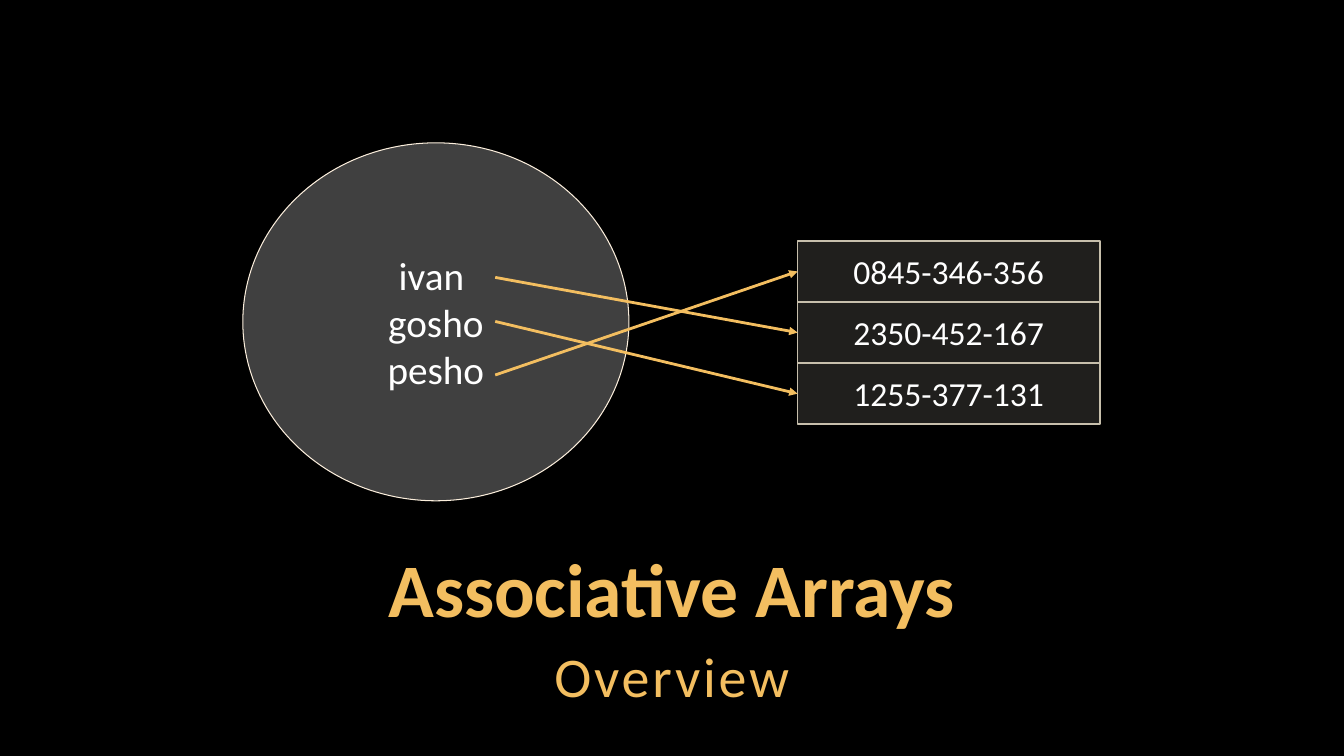
from dataclasses import dataclass

from lxml.etree import SubElement
from pptx import Presentation
from pptx.dml.color import RGBColor
from pptx.enum.shapes import MSO_CONNECTOR, MSO_SHAPE
from pptx.enum.text import MSO_ANCHOR, PP_ALIGN
from pptx.oxml.ns import qn
from pptx.shapes.autoshape import Shape
from pptx.shapes.group import GroupShape
from pptx.shapes.connector import Connector
from pptx.slide import Slide
from pptx.util import Cm, Pt

GOLD = "F3BE60"
WHITE = "FFFFFF"
FONT = "Calibri"


@dataclass
class Caption:
    text: str
    top: float
    height: float
    size: int
    bold: bool
    anchor: MSO_ANCHOR
    paragraph: dict
    spacing: int = 0


@dataclass
class Panel:
    kind: MSO_SHAPE
    box: tuple[float, float, float, float]
    lines: list[str]
    size: int
    fill: str
    alpha: int
    line: str
    line_width: float
    frame: dict


@dataclass
class Entry:
    start_y: float
    row: int


CAPTIONS = [
    Caption("Associative Arrays", 13.77, 2.29, 54, True, MSO_ANCHOR.BOTTOM,
            {"line_spacing": 0.9}),
    Caption("Overview", 15.98, 2, 40, False, MSO_ANCHOR.TOP,
            {"line_spacing": 1.05, "space_after": Pt(6)}, 200),
]
KEYS = Panel(MSO_SHAPE.OVAL, (6.12, 3.6, 9.73, 9.02), ["ivan ", "gosho", "pesho"],
             28, "808080", 50, "FBEEDC", 0.75, {"vertical_anchor": MSO_ANCHOR.MIDDLE})
PHONES = ["0845-346-356", "2350-452-167", "1255-377-131"]
PHONE_LEFT, PHONE_TOP, PHONE_WIDTH, PHONE_HEIGHT = 20.1, 6.07, 7.62, 1.54
PHONE_FRAME = {"vertical_anchor": MSO_ANCHOR.TOP,
               "margin_left": Cm(0.5), "margin_right": Cm(0.5),
               "margin_top": Cm(0.25), "margin_bottom": Cm(0.25)}
ENTRIES = [Entry(6.99, 1), Entry(8.1, 2), Entry(9.45, 0)]
ARROW_LEFT = 12.48


def rgb(color: str) -> RGBColor:
    return RGBColor.from_string(color)


def apply(target: object, values: dict) -> None:
    for name, value in values.items():
        setattr(target, name, value)


def write(sp: Shape, lines: list[str], color: str, font: dict,
          frame: dict, paragraph: dict, spacing: int = 0) -> None:
    tf = sp.text_frame
    apply(tf, {"word_wrap": True} | frame)
    for i, line in enumerate(lines):
        p = tf.add_paragraph() if i else tf.paragraphs[0]
        apply(p, {"alignment": PP_ALIGN.CENTER} | paragraph)
        r = p.add_run()
        r.text = line
        apply(r.font, {"name": FONT} | font)
        r.font.color.rgb = rgb(color)
        if spacing:
            r.font._element.set("spc", str(spacing))


def add_caption(s: Slide, c: Caption) -> None:
    sp = s.shapes.add_textbox(Cm(2.54), Cm(c.top), Cm(28.79), Cm(c.height))
    sides = ("left", "top", "right", "bottom")
    frame = {f"margin_{side}": Cm(0.1) for side in sides}
    write(sp, [c.text], GOLD, {"size": Pt(c.size), "bold": c.bold},
          frame | {"vertical_anchor": c.anchor}, c.paragraph, c.spacing)


def add_panel(group: GroupShape, panel: Panel) -> Shape:
    sp = group.shapes.add_shape(panel.kind, *map(Cm, panel.box))
    sp.shadow.inherit = False
    sp.fill.solid()
    sp.fill.fore_color.rgb = rgb(panel.fill)
    color = sp._element.spPr.find(qn("a:solidFill"))[0]
    SubElement(color, qn("a:alpha"), val=str(panel.alpha * 1000))
    sp.line.color.rgb = rgb(panel.line)
    sp.line.width = Pt(panel.line_width)
    write(sp, panel.lines, WHITE, {"size": Pt(panel.size)}, panel.frame, {})
    return sp


def add_arrow(group: GroupShape, start_y: float, target: Shape) -> Connector:
    y = Cm(start_y)
    cxn = group.shapes.add_connector(
        MSO_CONNECTOR.STRAIGHT, Cm(ARROW_LEFT), y,
        target.left, target.top + target.height // 2)
    cxn.end_connect(target, 1)
    cxn.line.color.rgb = rgb(GOLD)
    cxn.line.width = Pt(2)
    SubElement(cxn.line._get_or_add_ln(), qn("a:tailEnd"), type="triangle")
    SubElement(cxn._element.spPr, qn("a:effectLst"))
    return cxn


def main() -> None:
    prs = Presentation()
    apply(prs, {"slide_width": Cm(33.87), "slide_height": Cm(19.05)})
    s = prs.slides.add_slide(prs.slide_layouts[6])
    s.background.fill.solid()
    s.background.fill.fore_color.rgb = rgb("000000")

    for caption in CAPTIONS:
        add_caption(s, caption)

    group = s.shapes.add_group_shape()
    add_panel(group, KEYS)
    rows = []
    for i, phone in enumerate(PHONES):
        box = (PHONE_LEFT, PHONE_TOP + i * PHONE_HEIGHT, PHONE_WIDTH, PHONE_HEIGHT)
        rows.append(add_panel(group, Panel(
            MSO_SHAPE.RECTANGLE, box, [phone], 24,
            "D9D5C7", 15, "C7BFAC", 1, PHONE_FRAME)))
    for entry in ENTRIES:
        add_arrow(group, entry.start_y, rows[entry.row])

    prs.save("out.pptx")


if __name__ == "__main__":
    main()
